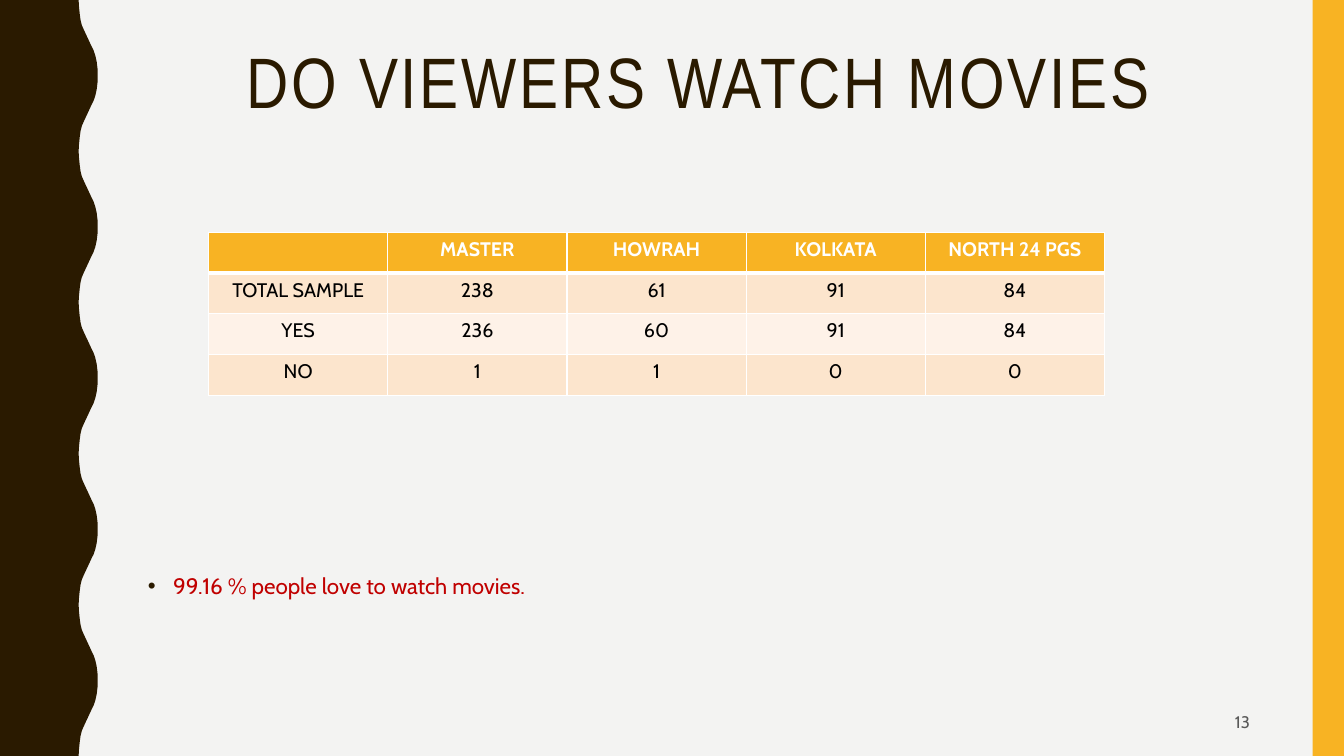
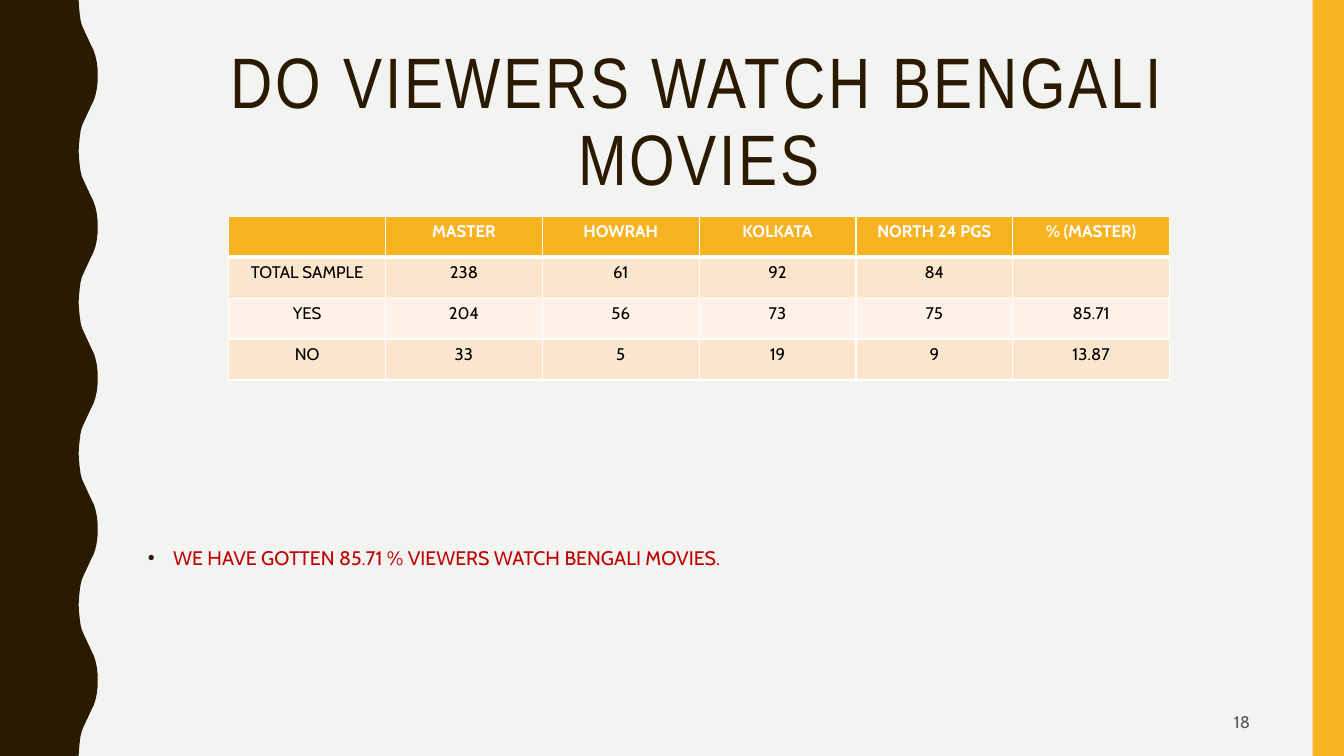
"""Build two survey slides with a wavy edge, a title, a table and a finding."""
from dataclasses import dataclass

from lxml import etree
from pptx import Presentation
from pptx import util as u
from pptx.dml.color import RGBColor
from pptx.enum import shapes, text
from pptx.oxml import ns

Pt = u.Pt
ALIGN = text.PP_ALIGN
ANCHOR = text.MSO_ANCHOR


@dataclass(frozen=True)
class Theme:
    """Colours, fonts and type sizes of the deck."""
    back: str = "F3F3F2"
    dark: str = "2A1A00"
    gold: str = "F8B323"
    red: str = "C00000"
    gray: str = "595959"
    white: str = "FFFFFF"
    black: str = "000000"
    bands: tuple = ("FCE5CD", "FEF2E8")
    head: str = "Arial Narrow"
    body: str = "Cabin"
    title: int = 51
    foot: int = 12


T = Theme()
WIDE, HIGH = 960, 540
LEFT, SPAN = 98.6, 801.4
ROW = 29.2
WAVE = [(56.2, 0), (56.5, 5), (57, 10), (57.6, 14.4), (58.5, 18),
        (59.8, 21), (61.2, 24), (62.6, 27), (64, 30), (65.4, 33),
        (66.9, 36), (68.1, 39.6), (69.1, 44), (69.7, 49), (69.8, 54)]

SLIDES = [
    {"title": "DO VIEWERS WATCH MOVIES", "page": "13",
     "grid": {"left": 149, "top": 165.8, "col": 128, "size": 14, "rows": [
         ["", "MASTER", "HOWRAH", "KOLKATA", "NORTH 24 PGS"],
         ["TOTAL SAMPLE", "238", "61", "91", "84"],
         ["YES", "236", "60", "91", "84"],
         ["NO", "1", "1", "0", "0"]]},
     "note": {"words": "99.16 % people love to watch movies.",
              "top": 405, "size": 16}},
    {"title": "DO VIEWERS WATCH BENGALI MOVIES", "page": "18",
     "grid": {"left": 163.4, "top": 154.6, "col": 112, "size": 12, "rows": [
         ["", "MASTER", "HOWRAH", "KOLKATA", "NORTH 24 PGS", "% (MASTER)"],
         ["TOTAL SAMPLE", "238", "61", "92", "84", ""],
         ["YES", "204", "56", "73", "75", "85.71"],
         ["NO", "33", "5", "19", "9", "13.87"]]},
     "note": {"words": "WE HAVE GOTTEN 85.71 % VIEWERS WATCH BENGALI MOVIES.",
              "top": 386.5, "size": 14}},
]


def put(item, **vals):
    """Set each named attribute on the item."""
    for name, val in vals.items():
        setattr(item, name, val)


def paint(item, tint):
    """Fill an item with one colour."""
    item.fill.solid()
    item.fill.fore_color.rgb = RGBColor.from_string(tint)


def plain(shape, tint):
    """Fill a shape and strip its line and shadow."""
    paint(shape, tint)
    shape.line.fill.background()
    shape.shadow.inherit = False


def write(para, words, tint, **style):
    """Add a styled run to a paragraph."""
    run = para.add_run()
    run.text = words
    put(run.font, **style)
    run.font.color.rgb = RGBColor.from_string(tint)
    return run


def label(slide, spot, anchor=ANCHOR.TOP, **form):
    """Add a wrapping text box and return its formatted paragraph."""
    frame = slide.shapes.add_textbox(*map(Pt, spot)).text_frame
    put(frame, word_wrap=True, vertical_anchor=anchor)
    para = frame.paragraphs[0]
    put(para, **form)
    return para


def edge(slide):
    """Draw the wavy dark edge and the gold band."""
    full = WAVE + [(x, 108 - y) for x, y in WAVE[-2::-1]]
    line = [(x, y + 108 * turn) for turn in range(5) for x, y in full]
    pen = slide.shapes.build_freeform(0, 0, scale=1.0)
    pen.add_line_segments([(Pt(x), Pt(y)) for x, y in line + [(0, HIGH)]])
    plain(pen.convert_to_shape(), T.dark)
    band = slide.shapes.add_shape(shapes.MSO_SHAPE.RECTANGLE, Pt(937.6), Pt(0),
                                  Pt(WIDE - 937.6), Pt(HIGH))
    plain(band, T.gold)


def head(slide, words):
    """Write the spaced, centred title."""
    para = label(slide, (LEFT, 30, SPAN, 117.6),
                 alignment=ALIGN.CENTER, line_spacing=0.9)
    run = write(para, words, T.dark, name=T.head, size=Pt(T.title))
    run.font._element.set("spc", "200")


def foot(slide, page):
    """Write the page number."""
    para = label(slide, (678, 502, 222, 27), ANCHOR.MIDDLE,
                 alignment=ALIGN.RIGHT)
    write(para, page, T.gray, name=T.body, size=Pt(T.foot))


def note(slide, words, top, size):
    """Write a bulleted finding."""
    para = label(slide, (LEFT, top, SPAN, 30))
    props = para._p.get_or_add_pPr()
    put_in = {"marL": Pt(18), "indent": -Pt(18)}
    for name, val in put_in.items():
        props.set(name, str(val))
    tint = etree.SubElement(props, ns.qn("a:buClr"))
    etree.SubElement(tint, ns.qn("a:srgbClr"), val=T.dark)
    etree.SubElement(props, ns.qn("a:buFont"), typeface="Arial")
    etree.SubElement(props, ns.qn("a:buChar"), char="•")
    write(para, words, T.red, name=T.body, size=Pt(size))


def rule(cell, **sides):
    """Draw white cell borders of the given widths."""
    props = cell._tc.get_or_add_tcPr()
    for side, wide in sides.items():
        line = etree.SubElement(props, ns.qn("a:ln" + side), w=str(Pt(wide)))
        fill = etree.SubElement(line, ns.qn("a:solidFill"))
        etree.SubElement(fill, ns.qn("a:srgbClr"), val=T.white)


def grid(slide, left, top, col, size, rows):
    """Add the banded table with a gold header."""
    deep, wide = len(rows), len(rows[0])
    table = slide.shapes.add_table(deep, wide, Pt(left), Pt(top),
                                   Pt(col * wide), Pt(ROW * deep)).table
    for part in table.columns:
        part.width = Pt(col)
    for i, row in enumerate(rows):
        table.rows[i].height = Pt(ROW)
        top_row = i == 0
        fill = T.gold if top_row else T.bands[(i - 1) % 2]
        ink = T.white if top_row else T.black
        for j, words in enumerate(row):
            cell = table.cell(i, j)
            rule(cell, L=1, R=1, T=3 if i == 1 else 1, B=3 if top_row else 1)
            paint(cell, fill)
            para = cell.text_frame.paragraphs[0]
            para.alignment = ALIGN.CENTER
            write(para, words, ink, name=T.body, size=Pt(size), bold=top_row)


def main():
    """Build and save the deck."""
    deck = Presentation()
    put(deck, slide_width=Pt(WIDE), slide_height=Pt(HIGH))
    paint(deck.slide_master.background, T.back)
    for page in SLIDES:
        slide = deck.slides.add_slide(deck.slide_layouts[6])
        edge(slide)
        head(slide, page["title"])
        note(slide, **page["note"])
        foot(slide, page["page"])
        grid(slide, **page["grid"])
    deck.save("out.pptx")


if __name__ == "__main__":
    main()
